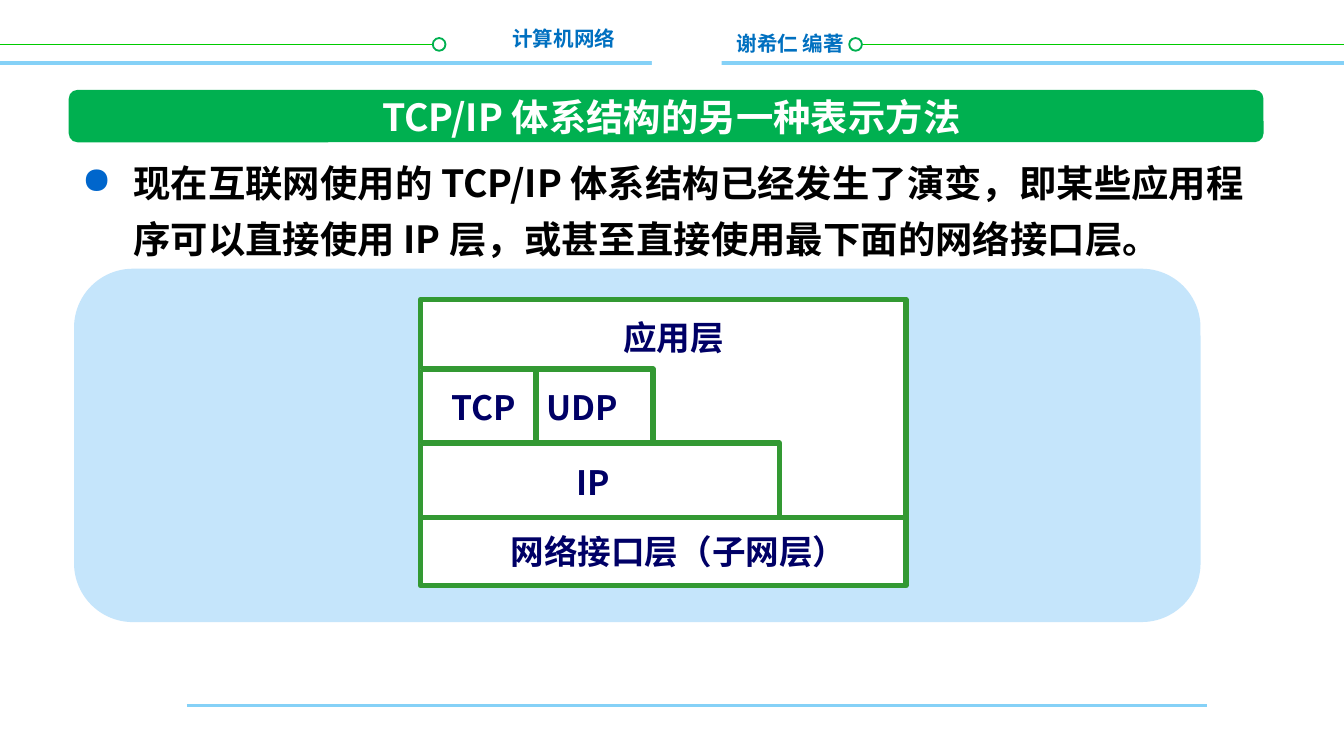
import lxml.etree
import pptx
import pptx.dml.color
import pptx.enum.shapes
import pptx.enum.text
import pptx.oxml.ns
import pptx.util

Cm = pptx.util.Cm
Pt = pptx.util.Pt
SHAPES = pptx.enum.shapes.MSO_SHAPE
ALIGN = pptx.enum.text.PP_ALIGN
ANCHOR = pptx.enum.text.MSO_ANCHOR


def color(hex_value):
    return pptx.dml.color.RGBColor.from_string(hex_value)


def add_element(parent, tag, **attributes):
    element = lxml.etree.SubElement(parent, pptx.oxml.ns.qn(tag))
    for name, value in attributes.items():
        element.set(name, str(value))
    return element


def write_text(shape, text, size=18, hex_value="000066", font="Noto Sans CJK SC",
               align=ALIGN.LEFT, anchor=ANCHOR.TOP, wrap=True,
               line_spacing=None, bullet=None, indent=0, tab=None):
    frame = shape.text_frame
    frame.word_wrap = wrap
    frame.vertical_anchor = anchor
    paragraph = frame.paragraphs[0]
    paragraph.alignment = align
    if line_spacing:
        paragraph.line_spacing = Pt(line_spacing)
    properties = paragraph._p.get_or_add_pPr()
    if bullet:
        properties.set("marL", str(Cm(indent)))
        properties.set("indent", str(-Cm(indent)))
        bullet_color = add_element(properties, "a:buClr")
        add_element(bullet_color, "a:srgbClr", val="0066CC")
        add_element(properties, "a:buChar", char=bullet)
    if tab:
        tab_list = add_element(properties, "a:tabLst")
        add_element(tab_list, "a:tab", pos=int(Cm(tab)), algn="l")
    run = paragraph.add_run()
    run.text = text
    run.font.size = Pt(size)
    run.font.bold = True
    run.font.color.rgb = color(hex_value)
    run.font.name = font
    add_element(run._r.get_or_add_rPr(), "a:ea", typeface=font)


class SlideBuilder:
    GREEN = "339933"
    SKY = "85D1F7"
    WHITE = "FFFFFF"

    def __init__(self, slide):
        self.slide = slide

    def style(self, shape, fill, line, width):
        shape.shadow.inherit = False
        shape.fill.solid()
        shape.fill.fore_color.rgb = color(fill)
        if line:
            shape.line.color.rgb = color(line)
            shape.line.width = Pt(width)
        else:
            shape.line.fill.background()

    def shape(self, kind, left, top, width, height, fill, line=None, line_width=1):
        shape = self.slide.shapes.add_shape(
            kind, Cm(left), Cm(top), Cm(width), Cm(height))
        self.style(shape, fill, line, line_width)
        return shape

    def line(self, x1, y1, x2, y2, hex_value, width):
        connector = self.slide.shapes.add_connector(
            pptx.enum.shapes.MSO_CONNECTOR.STRAIGHT, Cm(x1), Cm(y1), Cm(x2), Cm(y2))
        connector.line.color.rgb = color(hex_value)
        connector.line.width = Pt(width)
        add_element(connector._element.spPr, "a:effectLst")

    def step(self, left, top, right, bottom):
        """Top and right edge of one layer, left open below."""
        builder = self.slide.shapes.build_freeform(Cm(left), Cm(top))
        builder.add_line_segments(
            [(Cm(right), Cm(top)), (Cm(right), Cm(bottom))], close=False)
        self.style(builder.convert_to_shape(), self.WHITE, self.GREEN, 3)

    def text(self, text, left, top, width, height, **text_format):
        box = self.slide.shapes.add_textbox(Cm(left), Cm(top), Cm(width), Cm(height))
        write_text(box, text, **text_format)


def main():
    presentation = pptx.Presentation()
    slide_width = 25.4
    presentation.slide_width = Cm(slide_width)
    presentation.slide_height = Cm(14.29)
    builder = SlideBuilder(presentation.slides.add_slide(presentation.slide_layouts[6]))

    # Header and footer
    header = dict(size=11, hex_value="0070C0")
    builder.text("谢希仁 编著", 13.67, 0.46, 2.95, 0.74, **header)
    builder.text("计算机网络", 9.42, 0.36, 2.46, 0.74,
                 align=ALIGN.RIGHT, wrap=False, **header)
    for start, end, dot_left in ((0, 8.23, 8.18), (16.05, slide_width, 16.05)):
        builder.line(start, 0.84, end, 0.84, "00CC00", 1)
        builder.shape(SHAPES.OVAL, dot_left, 0.72, 0.24, 0.24, builder.WHITE, "00B050")
    builder.line(3.53, 13.34, 22.81, 13.34, builder.SKY, 1.5)
    builder.line(0, 1.19, slide_width, 1.19, builder.SKY, 2)
    builder.shape(SHAPES.RECTANGLE, 12.32, 0.36, 1.32, 1.3, builder.WHITE)

    # Title banner
    builder.shape(SHAPES.ROUNDED_RECTANGLE, 1.3, 1.7, 22.58, 0.99, "00B050")
    builder.text("TCP/IP 体系结构的另一种表示方法", 3.48, 1.7, 18.42, 0.99,
                 size=20, hex_value=builder.WHITE,
                 align=ALIGN.CENTER, anchor=ANCHOR.MIDDLE)

    # Body
    builder.text("现在互联网使用的 TCP/IP 体系结构已经发生了演变，即某些应用程序"
                 "可以直接使用 IP 层，或甚至直接使用最下面的网络接口层。",
                 1.3, 2.69, 22.58, 9.42, size=20, hex_value="000000",
                 line_spacing=30, bullet="●", indent=0.97)

    # Protocol stack: layers of equal height, each narrower than the one below
    builder.shape(SHAPES.ROUNDED_RECTANGLE, 1.4, 5.08, 21.29, 6.68, "C5E5FB")
    left, width = 7.95, 9.17
    transport_top, layer_height = 6.98, 1.4
    ip_top = transport_top + layer_height
    link_top = ip_top + layer_height
    builder.shape(SHAPES.RECTANGLE, left, 5.66, width, 5.41,
                  builder.WHITE, builder.GREEN, 3)
    builder.line(left, link_top, left + width, link_top, builder.GREEN, 3)
    for top, right in ((ip_top, 14.73), (transport_top, 12.34)):
        builder.step(left, top, right, top + 1.35)
    builder.line(10.13, 7.04, 10.13, ip_top, builder.GREEN, 3)

    # Layer names
    builder.text("TCP\tUDP", 8.28, 7.19, 3.94, 1.02, tab=1.8)
    for name, name_left, name_top, name_width in (
            ("IP", 10.64, 8.61, 1.14),
            ("应用层", 11.53, 5.87, 2.44),
            ("网络接口层（子网层）", 9.4, 9.91, 6.93)):
        builder.text(name, name_left, name_top, name_width, 1.02, wrap=False)

    presentation.save("out.pptx")


if __name__ == "__main__":
    main()
